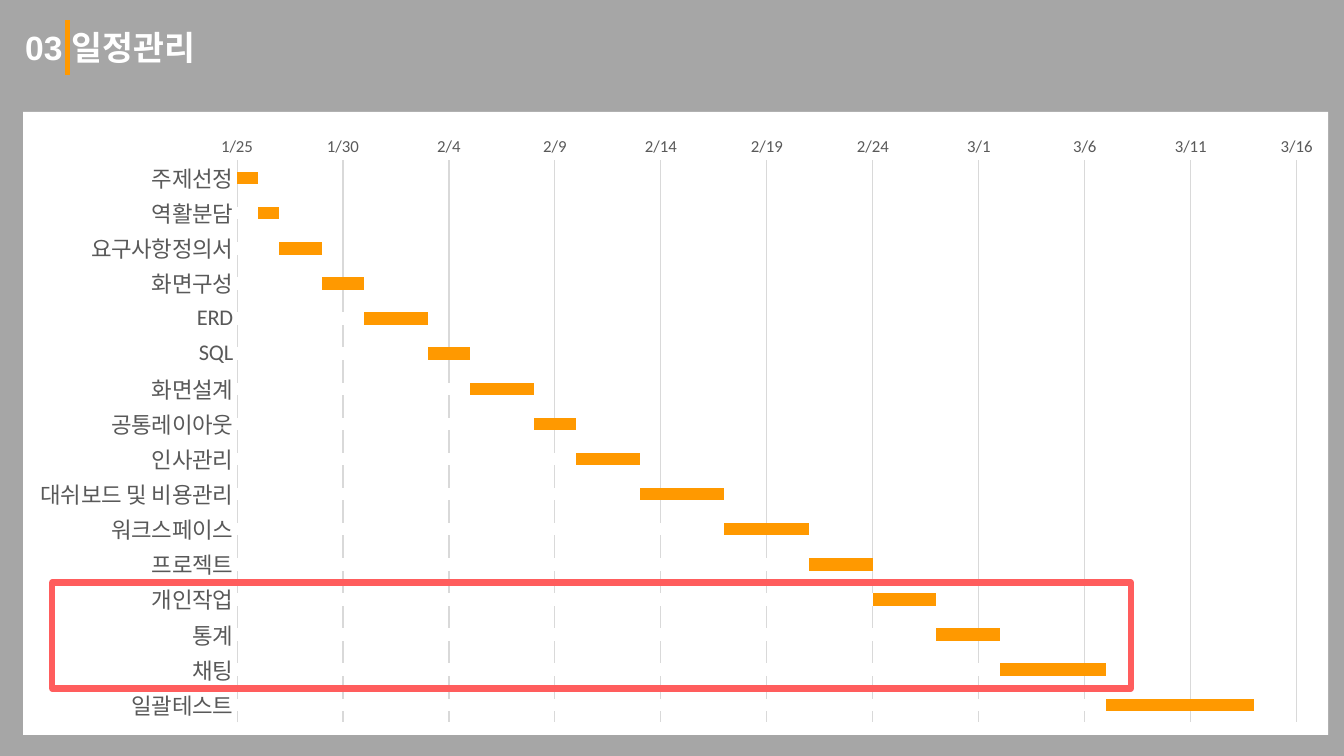
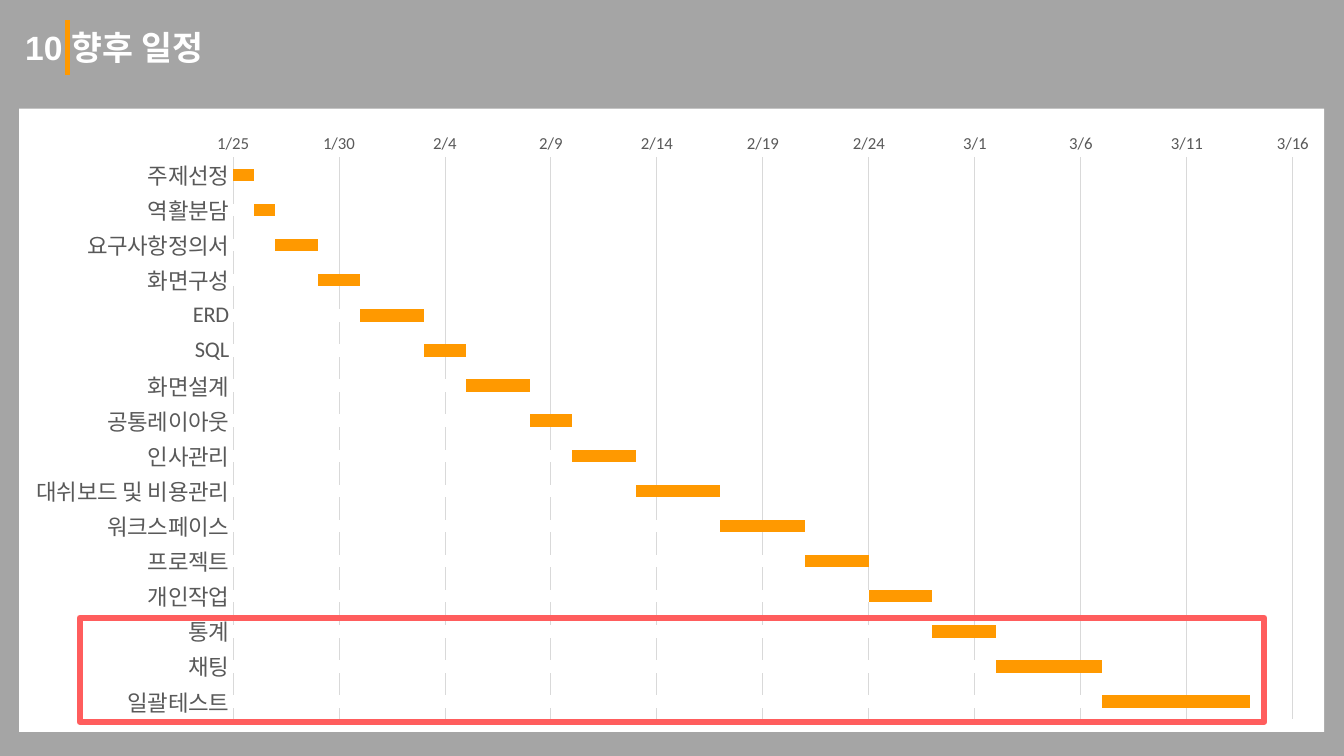
from itertools import accumulate

from lxml.etree import SubElement
from pptx import Presentation
from pptx.chart.data import CategoryChartData
from pptx.dml.color import RGBColor
from pptx.enum.chart import XL_CHART_TYPE, XL_TICK_MARK
from pptx.enum.shapes import MSO_CONNECTOR, MSO_SHAPE
from pptx.enum.text import MSO_ANCHOR, MSO_AUTO_SIZE, PP_ALIGN
from pptx.oxml import parse_xml
from pptx.oxml.ns import nsdecls, qn
from pptx.util import Cm, Pt

HUES = {
    "white": "FFFFFF",
    "orange": "FF9900",
    "red": "FF5D5D",
    "text": "595959",
    "grid": "D9D9D9",
    "black": "000000",
}
START, END, STEP = 43490, 43540, 5
TASKS = {
    "주제선정": 1,
    "역활분담": 1,
    "요구사항정의서": 2,
    "화면구성": 2,
    "ERD": 3,
    "SQL": 2,
    "화면설계": 3,
    "공통레이아웃": 2,
    "인사관리": 3,
    "대쉬보드 및 비용관리": 4,
    "워크스페이스": 4,
    "프로젝트": 3,
    "개인작업": 3,
    "통계": 3,
    "채팅": 5,
    "일괄테스트": 7,
}
PLOT = {"x": 0.164, "y": 0.078, "w": 0.812, "h": 0.902}
PAGES = [
    ("03 일정관리", "A6A6A6", (0.58, 2.82), (0.74, 11.86, 27.18, 2.67)),
    ("10 향후 일정", "A5A5A5", (0.48, 2.74), (1.53, 12.83, 29.85, 2.62)),
]


def rgb(name):
    """Return the palette colour of that name."""
    return RGBColor.from_string(HUES[name])


def style(font, size, hue, face="Calibri"):
    """Set size, colour and face of a font."""
    font.size, font.name = Pt(size), face
    font.color.rgb = rgb(hue)


def stroke(line, hue, width):
    """Give a line its colour and width."""
    line.color.rgb = rgb(hue)
    line.width = Pt(width)


def head(slide, text, left, top):
    """Place the title and the upright rule that splits off its number."""
    title = slide.shapes.title
    title.left, title.top = Cm(left), Cm(top)
    title.width, title.height = Cm(14.15), Cm(1.27)
    frame = title.text_frame
    frame.text = text
    frame.auto_size = MSO_AUTO_SIZE.NONE
    frame.vertical_anchor = MSO_ANCHOR.TOP
    para = frame.paragraphs[0]
    para.alignment = PP_ALIGN.LEFT
    style(para.font, 24, "white", "Arial")
    para.font.bold = True
    x, y = Cm(left + 1.32), Cm(top - 0.05)
    rule = slide.shapes.add_connector(MSO_CONNECTOR.STRAIGHT, x, y, x, y + Cm(1.37))
    stroke(rule.line, "orange", 3)
    SubElement(rule.element.spPr, qn("a:effectLst"))


def panel():
    """Return chart properties with a white fill and no outline."""
    return parse_xml(
        f'<c:spPr {nsdecls("c", "a")}><a:solidFill><a:srgbClr val="{HUES["white"]}"/>'
        "</a:solidFill><a:ln><a:noFill/></a:ln></c:spPr>"
    )


def frame_plot(chart):
    """Fix the inner plot area and fill the chart white."""
    root = chart.element
    area = root.find(".//" + qn("c:plotArea"))
    for old in area.findall(qn("c:layout")):
        area.remove(old)
    modes = "".join(f'<c:{k}Mode val="edge"/>' for k in "xy")
    sides = "".join(f'<c:{k} val="{v}"/>' for k, v in PLOT.items())
    area.insert(0, parse_xml(
        f'<c:layout {nsdecls("c")}><c:manualLayout><c:layoutTarget val="inner"/>'
        f"{modes}{sides}</c:manualLayout></c:layout>"
    ))
    area.append(panel())
    root.find(qn("c:chart")).addnext(panel())


def gantt(slide, left, top, width, height):
    """Draw the schedule as stacked bars whose first part is blank."""
    days = list(TASKS.values())
    data = CategoryChartData()
    data.categories = list(TASKS)
    data.add_series("Series 1", list(accumulate(days[:-1], initial=START)))
    data.add_series("Series 2", days)
    chart = slide.shapes.add_chart(
        XL_CHART_TYPE.BAR_STACKED, Cm(left), Cm(top), Cm(width), Cm(height), data
    ).chart
    chart.has_legend = chart.has_title = False
    style(chart.font, 10, "black")
    plot = chart.plots[0]
    plot.gap_width, plot.overlap = 182, 100
    plot.vary_by_categories = False
    for part, hue in zip(plot.series, ("white", "orange")):
        part.format.fill.solid()
        part.format.fill.fore_color.rgb = rgb(hue)
    cats, dates = chart.category_axis, chart.value_axis
    for axis, size in ((cats, 16), (dates, 12)):
        axis.major_tick_mark = axis.minor_tick_mark = XL_TICK_MARK.NONE
        style(axis.tick_labels.font, size, "text")
    cats.reverse_order = True
    stroke(cats.format.line, "grid", 0.75)
    dates.minimum_scale, dates.maximum_scale = START, END
    dates.major_unit = STEP
    dates.tick_labels.number_format = 'm"/"d;@'
    dates.tick_labels.number_format_is_linked = False
    dates.format.line.fill.background()
    stroke(dates.major_gridlines.format.line, "grid", 0.75)
    frame_plot(chart)


def mark(slide, left, top, width, height):
    """Outline the tasks to stress in red."""
    box = slide.shapes.add_shape(
        MSO_SHAPE.RECTANGLE, Cm(left), Cm(top), Cm(width), Cm(height)
    )
    box.shadow.inherit = False
    box.fill.background()
    stroke(box.line, "red", 4.5)


def page(deck, text, back, spot, focus):
    """Add one schedule slide with its title, chart and outlined rows."""
    slide = deck.slides.add_slide(deck.slide_layouts[5])
    fill = slide.background.fill
    fill.solid()
    fill.fore_color.rgb = RGBColor.from_string(back)
    head(slide, text, 0.38, 0.56)
    left, top = spot
    gantt(slide, left, top, 32.89, 15.7)
    dx, dy, width, height = focus
    mark(slide, left + dx, top + dy, width, height)


def main():
    """Build and save the deck."""
    deck = Presentation()
    deck.slide_width, deck.slide_height = Cm(33.87), Cm(19.05)
    for item in PAGES:
        page(deck, *item)
    deck.save("out.pptx")


if __name__ == "__main__":
    main()
